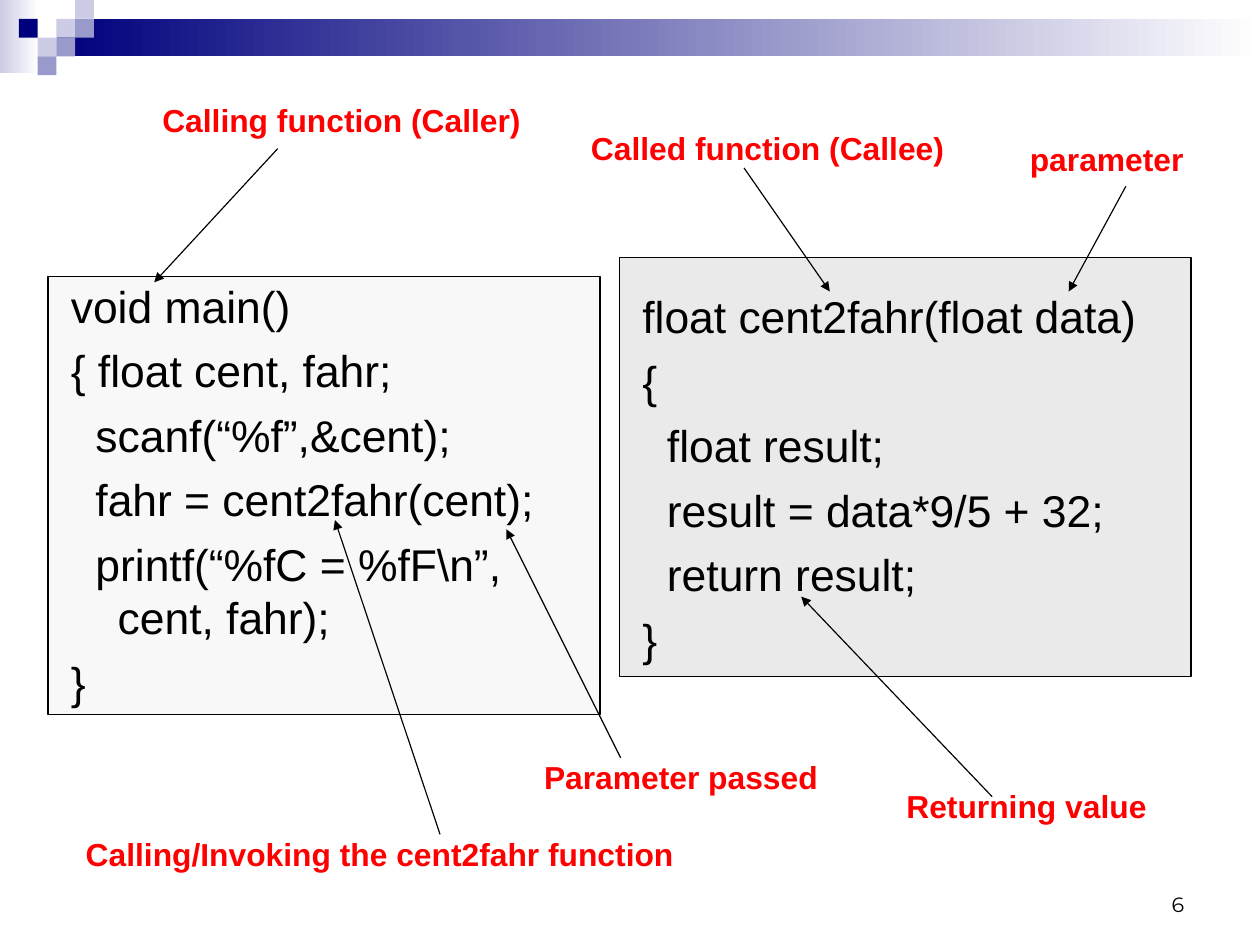
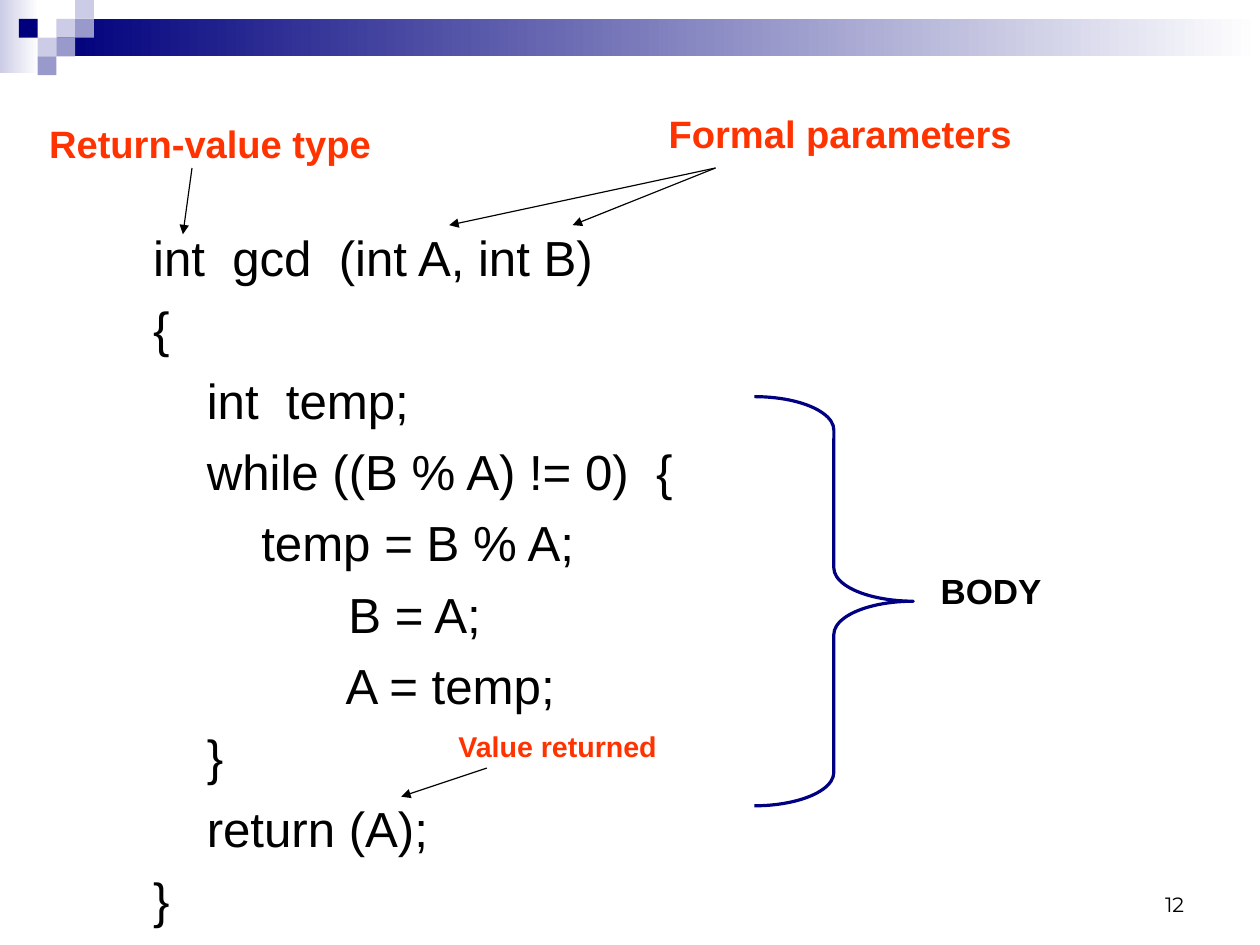
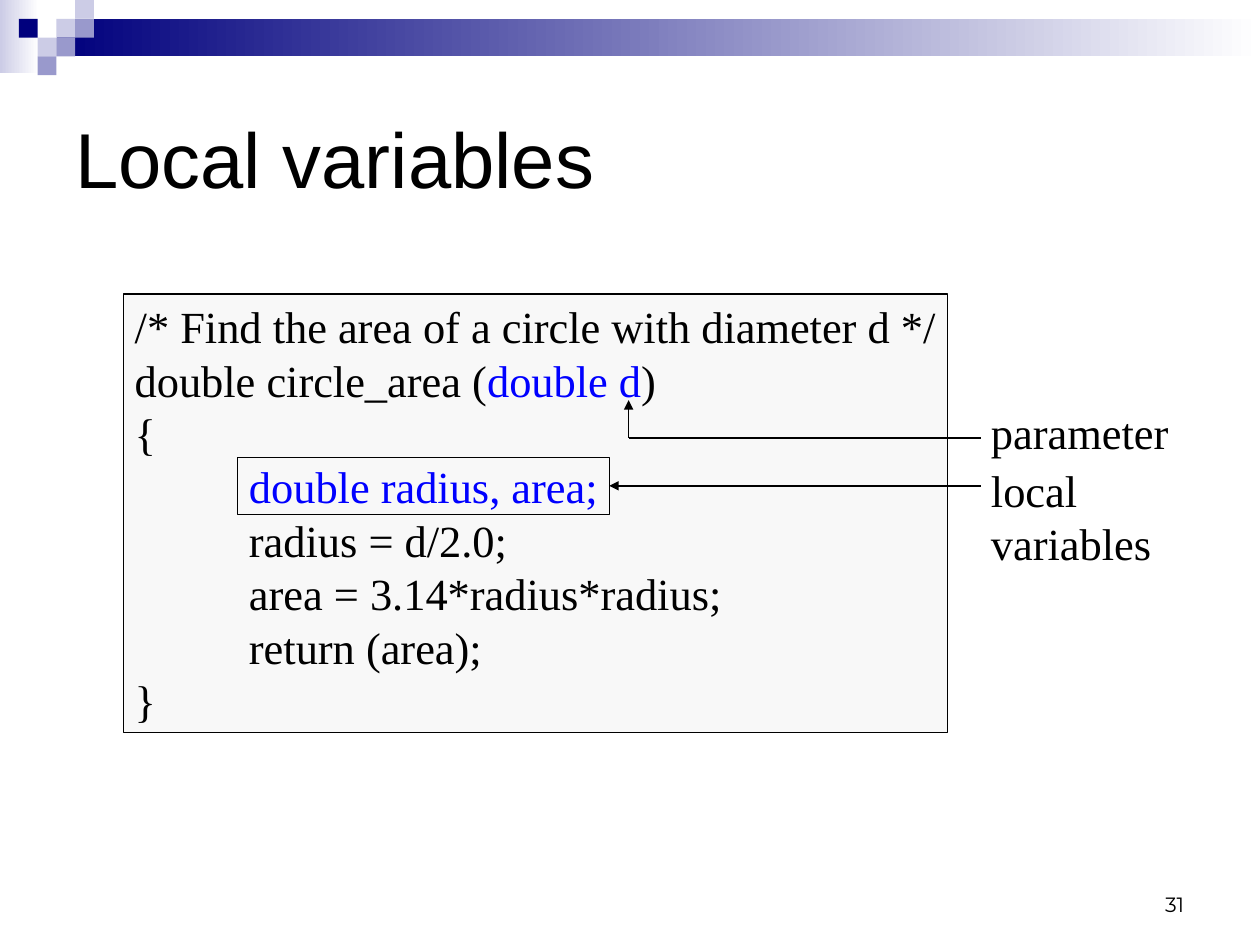
from lxml import etree
from pptx import Presentation
from pptx import util as u
from pptx.dml.color import RGBColor
from pptx.enum import shapes, text
from pptx.oxml.ns import qn

SLIDE_W, SLIDE_H = u.Cm(28), u.Cm(21)
W = SLIDE_W.inches
CELL = W / 67
BLACK = RGBColor(0, 0, 0)
WHITE = RGBColor(255, 255, 255)
NAVY = RGBColor(0, 0, 0x7D)
BRACE = RGBColor(0, 0, 0x80)
LILAC = RGBColor(0xCC, 0xCC, 0xE6)
VIOLET = RGBColor(0x99, 0x99, 0xCC)
RED = RGBColor(255, 0, 0)
ORANGE = RGBColor(255, 0x33, 0)
BLUE = RGBColor(0, 0, 255)
PALE = RGBColor(0xF8, 0xF8, 0xF8)
GREY = RGBColor(0xEA, 0xEA, 0xEA)
SERIF = "Times New Roman"
INSET = (0.11, 0.06)

BANDS = [((0, 0, 0.34, 0.64), LILAC), ((0.5, CELL, W - 0.5, 2 * CELL), NAVY)]
SQUARES = [(3, 1, LILAC), (4, 0, LILAC), (4, 1, VIOLET), (2, 2, LILAC),
           (1, 1, NAVY), (3, 2, VIOLET), (2, 3, VIOLET)]

CALLER = ["void main()", "{ float cent, fahr;", "  scanf(“%f”,&cent);",
          "  fahr = cent2fahr(cent);",
          "  printf(“%fC = %fF\\n”, cent, fahr);", "}"]
CALLEE = ["float cent2fahr(float data)", "{", "  float result;",
          "  result = data*9/5 + 32;", "  return result;", "}"]
PANELS = [((0.42, 2.42, 4.83, 3.83), PALE, (0.51, 2.38), CALLER),
          ((5.42, 2.25, 5, 3.67), GREY, (5.51, 2.47), CALLEE)]
CALL_LABELS = [("Calling/Invoking the cent2fahr function", 0.75, 7.3, 5.15),
               ("Calling function (Caller)", 1.42, 0.88, 3.14),
               ("Called function (Callee)", 5.17, 1.13, 3.09),
               ("parameter", 9.01, 1.22, 1.35),
               ("Returning value", 7.93, 6.88, 2.58),
               ("Parameter passed", 4.76, 6.63, 2.4)]
CALL_ARROWS = [((2.43, 1.3), (1.35, 2.47)), ((6.51, 1.47), (7.26, 2.55)),
               ((8.68, 6.97), (7.01, 5.22)), ((3.85, 7.3), (2.93, 4.55)),
               ((5.43, 6.63), (4.43, 4.63)), ((9.85, 1.63), (9.35, 2.55))]

GCD = ["int  gcd  (int A, int B)", "{", "\t int  temp;",
       "\t while ((B % A) != 0)  {", "\t     temp = B % A;", "\t\t   B = A;",
       "\t\t   A = temp;", "\t }", "\t return (A);", "}"]
GCD_LABELS = [("Return-value type", 0.43, 1.05, 2.83, 24, ORANGE),
              ("Formal parameters", 5.85, 0.97, 3.42, 24, ORANGE),
              ("Value returned", 4.01, 6.38, 1.75, 18, ORANGE),
              ("BODY", 8.23, 4.98, 1.45, 22, BLACK)]
GCD_ARROWS = [((1.68, 1.47), (1.6, 2.05)), ((6.26, 1.47), (3.93, 1.97)),
              ((6.26, 1.47), (5.01, 1.97)), ((4.26, 6.72), (3.51, 6.97))]

AREA = ["/* Find the area of a circle with diameter d */",
        [("double circle_area (", BLACK), ("double d", BLUE), (")", BLACK)],
        "{", [("\t", BLACK), ("double radius, area;", BLUE)],
        "\tradius = d/2.0;", "\tarea = 3.14*radius*radius;",
        "\treturn (area);", "}"]
AREA_LABELS = [(["parameter"], 3.54, 1.55), (["local", "variables"], 4.05, 1.4)]


def inches(*values):
    return [u.Inches(v) for v in values]


def write(sp, lines, size=28, color=BLACK, font="Arial", bold=False, before=0,
          align=text.PP_ALIGN.LEFT, anchor=text.MSO_ANCHOR.TOP, inset=(0, 0),
          wrap=True, level=0, indent=(0, 0), tab=1.1):
    tf = sp.text_frame
    tf.auto_size = text.MSO_AUTO_SIZE.NONE
    tf.word_wrap, tf.vertical_anchor = wrap, anchor
    tf.margin_left = tf.margin_right = u.Inches(inset[0])
    tf.margin_top = tf.margin_bottom = u.Inches(inset[1])
    for i, line in enumerate(lines):
        p = tf.add_paragraph() if i else tf.paragraphs[0]
        pPr = p._p.get_or_add_pPr()
        pPr.set("marL", str(u.Inches(indent[0])))
        pPr.set("indent", str(u.Inches(indent[1])))
        pPr.set("defTabSz", str(u.Inches(1)))
        etree.SubElement(pPr, qn("a:buNone"))
        tabs = etree.SubElement(pPr, qn("a:tabLst"))
        for n in range(8):
            etree.SubElement(tabs, qn("a:tab"), pos=str(u.Inches(n * tab)), algn="l")
        p.level, p.alignment, p.line_spacing = level, align, 1.0
        p.space_before, p.space_after = u.Pt(before if i else 0), u.Pt(0)
        for words, tint in [(line, color)] if isinstance(line, str) else line:
            r = p.add_run()
            r.text = words
            r.font.name, r.font.size, r.font.bold = font, u.Pt(size), bold
            r.font.color.rgb = tint


def label(s, lines, x, y, w, **fmt):
    h = fmt.get("size", 28) / 60 * len(lines)
    write(s.shapes.add_textbox(*inches(x, y, w, h)), lines, wrap=False, **fmt)


def shape(s, box, fill=None, line=None, width=0.75, kind=shapes.MSO_SHAPE.RECTANGLE):
    sp = s.shapes.add_shape(kind, *inches(*box))
    sp.shadow.inherit = False
    if fill is None:
        sp.fill.background()
    else:
        sp.fill.solid()
        sp.fill.fore_color.rgb = fill
    if line is None:
        sp.line.fill.background()
    else:
        sp.line.color.rgb, sp.line.width = line, u.Pt(width)
    return sp


def connect(s, start, end, width=0.75, arrow=True):
    c = s.shapes.add_connector(shapes.MSO_CONNECTOR.STRAIGHT, *inches(*start, *end))
    c.line.color.rgb, c.line.width = BLACK, u.Pt(width)
    if arrow:
        etree.SubElement(c.line._get_or_add_ln(), qn("a:tailEnd"), type="triangle")
    etree.SubElement(c.element.spPr, qn("a:effectLst"))
    return c


def place(ph, *box):
    ph.left, ph.top, ph.width, ph.height = inches(*box)
    return ph


def add_slide(prs, layout, number):
    s = prs.slides.add_slide(prs.slide_layouts[layout])
    number_box = s.shapes.add_textbox(*inches(7.9, 7.53, 2.57, 0.55))
    write(number_box, [str(number)], size=13, font="Montserrat", inset=INSET,
          align=text.PP_ALIGN.RIGHT, anchor=text.MSO_ANCHOR.BOTTOM)
    return s


def drop_title(s):
    title = s.shapes.title.element
    title.getparent().remove(title)


def decorate_master(prs, s):
    parts = []
    for box, color in BANDS:
        sp = shape(s, box, color)
        sp.fill.gradient()
        sp.fill.gradient_angle = 0
        for stop, tint, at in zip(sp.fill.gradient_stops, (color, WHITE), (0, 1)):
            stop.color.rgb, stop.position = tint, at
        parts.append(sp)
    for col, row, color in SQUARES:
        parts.append(shape(s, (col * CELL, row * CELL, CELL, CELL), color))
    tree = prs.slide_master.shapes.element
    for n, sp in enumerate(parts):
        sp.element.nvSpPr.cNvPr.set("id", str(100 + n))
        tree.append(sp.element)


def calling_slide(prs):
    s = add_slide(prs, 3, 6)
    decorate_master(prs, s)
    drop_title(s)
    for ph, (box, fill, corner, code) in zip(list(s.placeholders), PANELS):
        panel = shape(s, box, fill, BLACK)
        s.shapes.element.insert(2, panel.element)
        write(place(ph, *corner, 4.88, 4.68), code, before=7, inset=INSET,
              indent=(0.41, -0.41))
    for words, x, y, w in CALL_LABELS:
        label(s, [words], x, y, w, size=20, color=RED, bold=True)
    for start, end in CALL_ARROWS:
        connect(s, start, end)


def gcd_slide(prs):
    s = add_slide(prs, 1, 12)
    drop_title(s)
    write(place(s.placeholders[1], 0.68, 1.93, 9.92, 6.33), GCD, size=31,
          before=7.7, inset=INSET, level=1, indent=(0.9, -0.35))
    brace = shape(s, (6.6, 3.47, 1.39, 3.58), line=BRACE, width=2,
                  kind=shapes.MSO_SHAPE.RIGHT_BRACE)
    brace.adjustments[0] = 0.21
    for words, x, y, w, size, color in GCD_LABELS:
        label(s, [words], x, y, w, size=size, color=color, bold=True)
    for start, end in GCD_ARROWS:
        connect(s, start, end)


def area_slide(prs):
    s = add_slide(prs, 5, 31)
    title = place(s.shapes.title, 0.55, 0.55, 9.92, 1.65)
    write(title, ["Local variables"], size=49, inset=INSET,
          anchor=text.MSO_ANCHOR.MIDDLE)
    code = shape(s, (1.08, 2.57, 7.21, 3.84), PALE, BLACK, 1)
    write(code, AREA, font=SERIF, inset=(0.1, 0.05), wrap=False, tab=1)
    for lines, y, w in AREA_LABELS:
        label(s, lines, 8.67, y, w, font=SERIF)
    connect(s, (8.58, 3.83), (5.5, 3.83), 1, arrow=False)
    connect(s, (5.5, 3.83), (5.5, 3.5), 1)
    declaration = shape(s, (2.08, 4, 3.25, 0.5), line=BLACK)
    connect(s, (8.58, 4.25), (5.33, 4.25), 1).end_connect(declaration, 3)


def main():
    prs = Presentation()
    prs.slide_width, prs.slide_height = SLIDE_W, SLIDE_H
    calling_slide(prs)
    gcd_slide(prs)
    area_slide(prs)
    prs.save("out.pptx")


if __name__ == "__main__":
    main()
